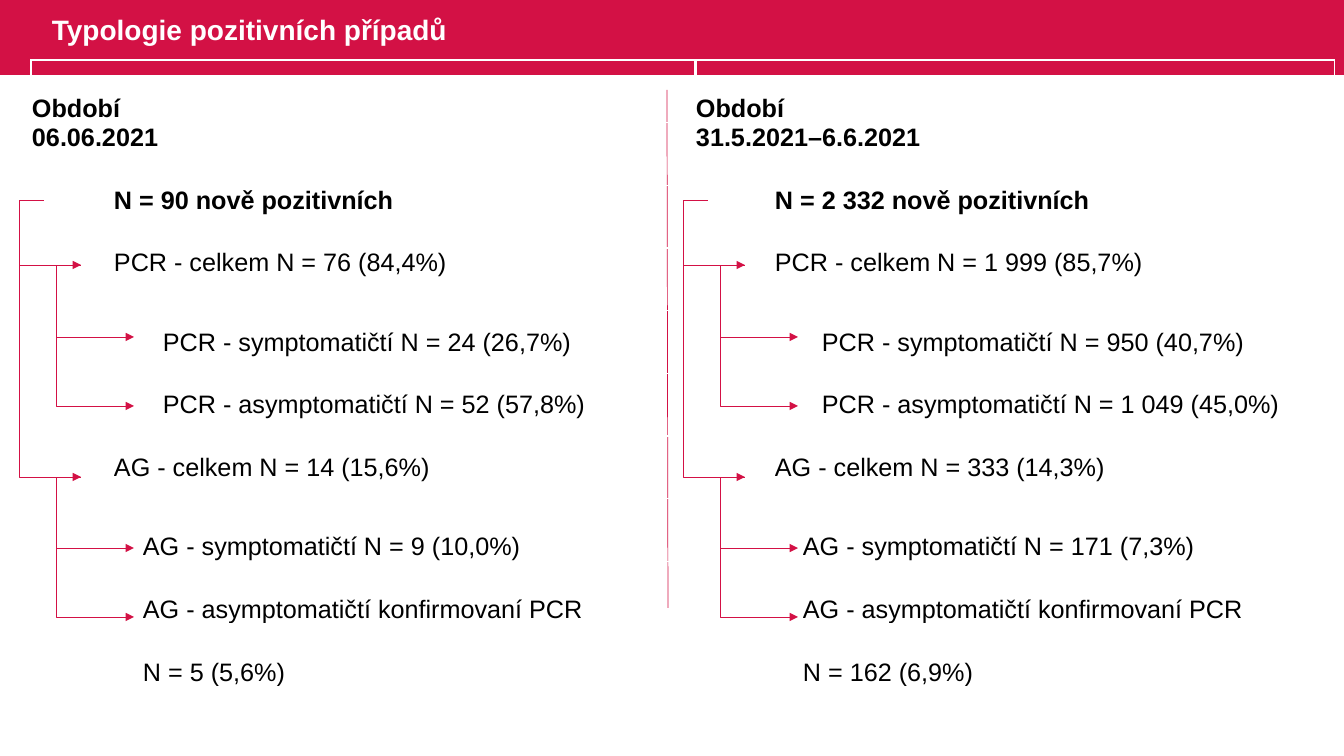
from lxml import etree
from pptx import Presentation, util as u
from pptx.dml.color import RGBColor
from pptx.enum import shapes, text
from pptx.oxml.ns import qn

PX = 914400 / 100.8
FONT = "Arial"
HUES = {"red": "D31145", "white": "FFFFFF", "black": "000000"}
TOP, MID, LOW = (text.MSO_ANCHOR.TOP, text.MSO_ANCHOR.MIDDLE,
                 text.MSO_ANCHOR.BOTTOM)

# Each row: merged columns, text column, anchor, bold
ROWS = [
    (0, 3, 0, LOW, True),
    (0, 3, 0, TOP, True),
    (1, 3, 1, TOP, True),
    (1, 3, 1, TOP, False),
    (1, 2, 3, MID, False),
    (1, 2, 3, MID, False),
    (1, 3, 1, MID, False),
    (2, 3, 2, LOW, False),
    (2, 3, 2, LOW, False),
    (2, 3, 2, LOW, False),
]

DAY = [
    "Období", "06.06.2021", "N = 90 nově pozitivních",
    "PCR - celkem N = 76 (84,4%)",
    "PCR - symptomatičtí N = 24 (26,7%)",
    "PCR - asymptomatičtí N = 52 (57,8%)",
    "AG - celkem N = 14 (15,6%)",
    "AG - symptomatičtí N = 9 (10,0%)",
    "AG - asymptomatičtí konfirmovaní PCR", "N = 5 (5,6%)",
]
WEEK = [
    "Období", "31.5.2021–6.6.2021", "N = 2 332 nově pozitivních",
    "PCR - celkem N = 1 999 (85,7%)",
    "PCR - symptomatičtí N = 950 (40,7%)",
    "PCR - asymptomatičtí N = 1 049 (45,0%)",
    "AG - celkem N = 333 (14,3%)",
    "AG - symptomatičtí N = 171 (7,3%)",
    "AG - asymptomatičtí konfirmovaní PCR", "N = 162 (6,9%)",
]


def px(n):
    return u.Emu(round(n * PX))


def hue(name):
    return RGBColor.from_string(HUES[name])


def write(frame, words, size=18, color="black", bold=False, space=None):
    para = frame.paragraphs[0]
    para.line_spacing = space
    run = para.add_run()
    run.text = words
    run.font.name = FONT
    run.font.size = u.Pt(size)
    run.font.bold = bold
    run.font.color.rgb = hue(color)


def rule(slide, kind, x1, y1, x2, y2):
    line = slide.shapes.add_connector(kind, px(x1), px(y1), px(x2), px(y2))
    line.line.color.rgb = hue("red")
    line.line.width = u.Pt(0.5)
    etree.SubElement(line._element.spPr, qn("a:effectLst"))
    return line


def elbow(slide, x1, y1, x2, y2, back=25):
    """Arrow that steps back to the left before it turns down."""
    line = rule(slide, shapes.MSO_CONNECTOR.ELBOW, x1, y1, x2, y2)
    guides = line._element.spPr.find(qn("a:prstGeom")).get_or_add_avLst()
    ratio = round(-back / (x2 - x1) * 100000)
    etree.SubElement(guides, qn("a:gd"), name="adj1", fmla=f"val {ratio}")
    etree.SubElement(line.line._get_or_add_ln(), qn("a:tailEnd"),
                     type="triangle")


def header(slide, x, y, w, h):
    bar = slide.shapes.add_shape(shapes.MSO_SHAPE.RECTANGLE,
                                 px(x), px(y), px(w), px(h))
    bar.shadow.inherit = False
    bar.fill.solid()
    bar.fill.fore_color.rgb = hue("red")
    bar.line.fill.background()
    box = slide.shapes.add_textbox(px(x + 42), px(y), px(703), px(h - 12))
    frame = box.text_frame
    frame.word_wrap = True
    frame.vertical_anchor = MID
    write(frame, "Typologie pozitivních případů", size=20, color="white",
          bold=True, space=0.9)


def cases(slide, x, y, h, cols, words):
    table = slide.shapes.add_table(len(ROWS), len(cols), px(x), px(y),
                                   px(sum(cols)), px(h)).table
    table.first_row = table.horz_banding = False
    for col, wide in zip(table.columns, cols):
        col.width = px(wide)
    for r, (first, last, at, anchor, bold) in enumerate(ROWS):
        table.rows[r].height = px(h / len(ROWS))
        for c in range(len(cols)):
            cell = table.cell(r, c)
            cell.fill.background()
            cell.margin_left = cell.margin_right = cell.margin_top = px(1)
            cell.margin_bottom = 0
        table.cell(r, first).merge(table.cell(r, last))
        cell = table.cell(r, at)
        cell.vertical_anchor = anchor
        write(cell.text_frame, words[r], bold=bold)


def tree(slide, x, y):
    # Trunk from the total to both test types, then their branches
    for stem, leaves in ((65, (137, 206)), (277, (348, 417))):
        elbow(slide, x + 25, y, x + 62, y + stem)
        for leaf in leaves:
            elbow(slide, x + 62, y + stem, x + 115, y + leaf)


def panel(slide, x, y, cols, words):
    cases(slide, x + 12, y, 627, cols, words)
    tree(slide, x, y + 140)


def main():
    deck = Presentation()
    deck.slide_width, deck.slide_height = px(1344), px(756)
    slide = deck.slides.add_slide(deck.slide_layouts[6])
    header(slide, 0, 0, 1344, 75)
    # Divider between the two periods
    rule(slide, shapes.MSO_CONNECTOR.STRAIGHT, 667, 90, 668, 608)
    panel(slide, 19, 60, (82, 29, 20, 535), DAY)
    panel(slide, 683, 60, (79, 28, 19, 514), WEEK)
    deck.save("out.pptx")


if __name__ == "__main__":
    main()
